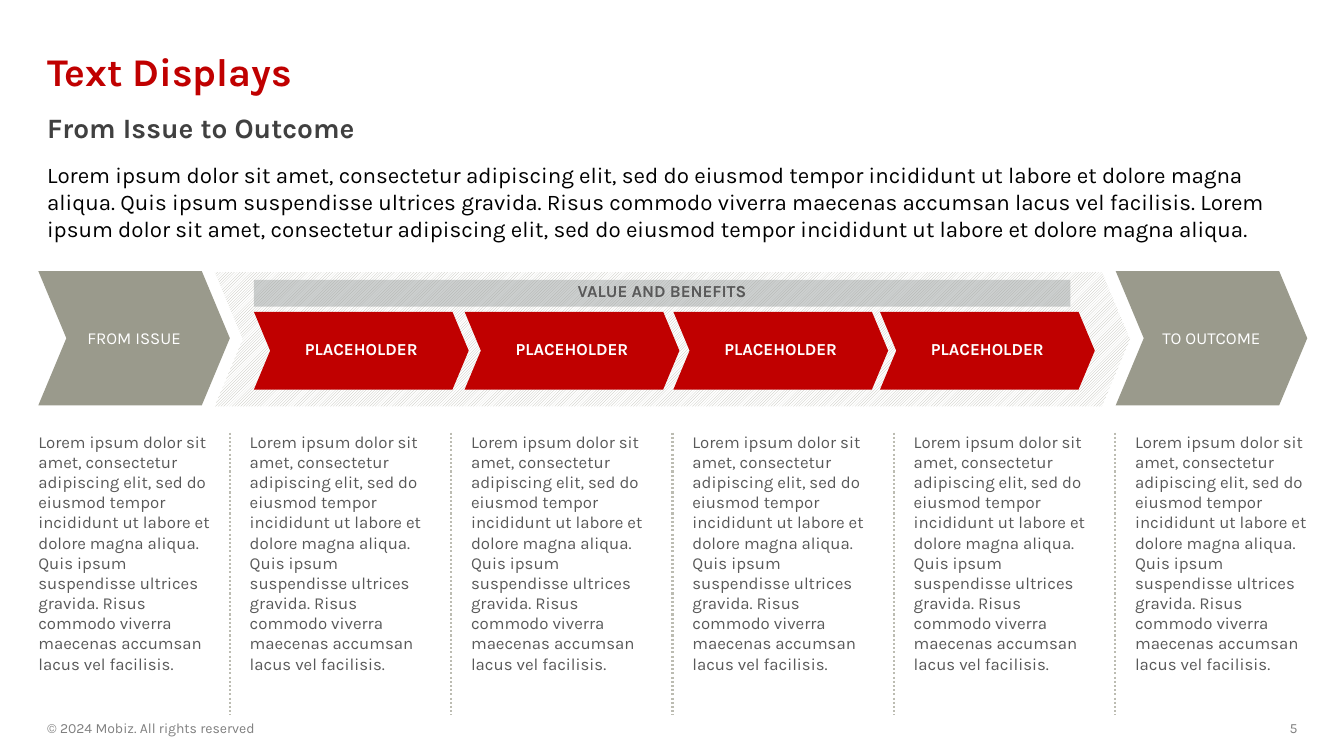
from lxml import etree
from pptx import Presentation
from pptx.dml.color import RGBColor
from pptx.enum import dml, shapes, text
from pptx.oxml.ns import qn
from pptx.util import Pt

COLORS = {
    "red": "C00000", "heading": "404040", "body": "595959", "footer": "808080",
    "black": "000000", "white": "FFFFFF", "olive": "9A9A8C",
    "pale": "BCBCB2", "bar": "9DA2A2",
}
FONT = "Karla"
LEFT, MIDDLE, TOP = text.PP_ALIGN.LEFT, text.MSO_ANCHOR.MIDDLE, text.MSO_ANCHOR.TOP
CENTER, RIGHT = text.PP_ALIGN.CENTER, text.PP_ALIGN.RIGHT

LOREM = "Lorem ipsum dolor sit amet, consectetur adipiscing elit, sed do eiusmod tempor "
LOREM += "incididunt ut labore et dolore magna aliqua."
COLUMN_TEXT = LOREM + " Quis ipsum suspendisse ultrices gravida. Risus commodo viverra "
COLUMN_TEXT += "maecenas accumsan lacus vel facilisis."
INTRO = COLUMN_TEXT + " " + LOREM

STEP_X = (181.4, 331.9, 481, 628.6)
COLUMN_STEP = 158.1
DIVIDER_X = 164.2
CHEVRON_ADJ = 0.209


def rgb(name):
    return RGBColor.from_string(COLORS[name])


def write(sp, content, size, color, bold=False, align=LEFT, anchor=TOP,
          spacing=None, insets=(7.2, 3.6), wrap=True):
    tf = sp.text_frame
    tf.word_wrap = wrap
    tf.vertical_anchor = anchor
    tf.margin_left = tf.margin_right = Pt(insets[0])
    tf.margin_top = tf.margin_bottom = Pt(insets[1])
    p = tf.paragraphs[0]
    p.text = content
    p.alignment = align
    if spacing:
        p.line_spacing = spacing
    p.font.name, p.font.size, p.font.bold = FONT, Pt(size), bold
    p.font.color.rgb = rgb(color)
    return p


def add_text(s, box, content, size, color, **style):
    sp = s.shapes.add_textbox(*map(Pt, box))
    write(sp, content, size, color, **style)


def add_block(s, kind, box, fill=None):
    sp = s.shapes.add_shape(kind, *map(Pt, box))
    sp.shadow.inherit = False
    sp.line.fill.background()
    if kind == shapes.MSO_SHAPE.CHEVRON:
        sp.adjustments[0] = CHEVRON_ADJ
    if fill:
        sp.fill.solid()
        sp.fill.fore_color.rgb = rgb(fill)
    return sp


def add_divider(s, x):
    line = s.shapes.add_connector(shapes.MSO_CONNECTOR.STRAIGHT,
                                  Pt(x), Pt(309), Pt(x), Pt(511))
    line.line.color.rgb = rgb("pale")
    line.line.width = Pt(1.5)
    line.line.dash_style = dml.MSO_LINE.ROUND_DOT
    etree.SubElement(line._element.spPr, qn("a:effectLst"))


def add_process(s):
    chevron = shapes.MSO_SHAPE.CHEVRON
    # Start and end points
    for x, label in ((797, "TO OUTCOME"), (27.4, "FROM ISSUE")):
        sp = add_block(s, chevron, (x, 193.7, 136.8, 95.8), "olive")
        write(sp, label, 12, "white", align=CENTER, anchor=MIDDLE, insets=(8.64, 8.64))

    # Hatched band
    band = add_block(s, chevron, (153.4, 194.4, 653.8, 95.8))
    band.fill.patterned()
    band.fill.pattern = dml.MSO_PATTERN.DARK_UPWARD_DIAGONAL
    band.fill.fore_color.rgb = rgb("pale")
    band.fill.back_color.rgb = rgb("white")

    # Half-transparent heading bar
    bar = add_block(s, shapes.MSO_SHAPE.RECTANGLE, (181.4, 200, 583.2, 19), "bar")
    color = bar._element.spPr.find(qn("a:solidFill"))[0]
    etree.SubElement(color, qn("a:alpha"), val="50000")
    write(bar, "VALUE AND BENEFITS", 12, "body", bold=True, align=CENTER,
          spacing=0.8, wrap=False)

    # Steps
    for x in STEP_X:
        sp = add_block(s, chevron, (x, 222.7, 153.4, 55.6), "red")
        p = write(sp, "PLACEHOLDER", 12, "white", bold=True, align=CENTER,
                  anchor=MIDDLE, spacing=0.85, insets=(0, 3.6))
        p.space_after = Pt(3)


def add_columns(s):
    dividers = [DIVIDER_X + COLUMN_STEP * i for i in range(5)]
    for x in dividers:
        add_divider(s, x)
    for x in [27.4] + [d + 14.2 for d in dividers]:
        add_text(s, (x, 308.2, 129.6, 201.6), COLUMN_TEXT, 12, "body", insets=(0, 0))


def main():
    prs = Presentation()
    prs.slide_width, prs.slide_height = Pt(960), Pt(540)
    s = prs.slides.add_slide(prs.slide_layouts[6])

    # Headings and introduction
    add_text(s, (26.6, 28.8, 907.2, 48.2), "Text Displays", 28, "red",
             bold=True, anchor=MIDDLE, spacing=0.9)
    add_text(s, (26.6, 77.8, 907.2, 33.8), "From Issue to Outcome", 20, "heading",
             bold=True, spacing=0.9)
    add_text(s, (26.6, 111.6, 907.2, 65.5), INTRO, 16, "black")

    add_columns(s)
    add_process(s)

    # Footer
    add_text(s, (26.6, 511.2, 324, 18), "© 2024 Mobiz. All rights reserved", 10,
             "footer", anchor=MIDDLE)
    add_text(s, (846, 511.2, 87.8, 18), "5", 10, "footer", align=RIGHT, anchor=MIDDLE)

    prs.save("out.pptx")


if __name__ == "__main__":
    main()
